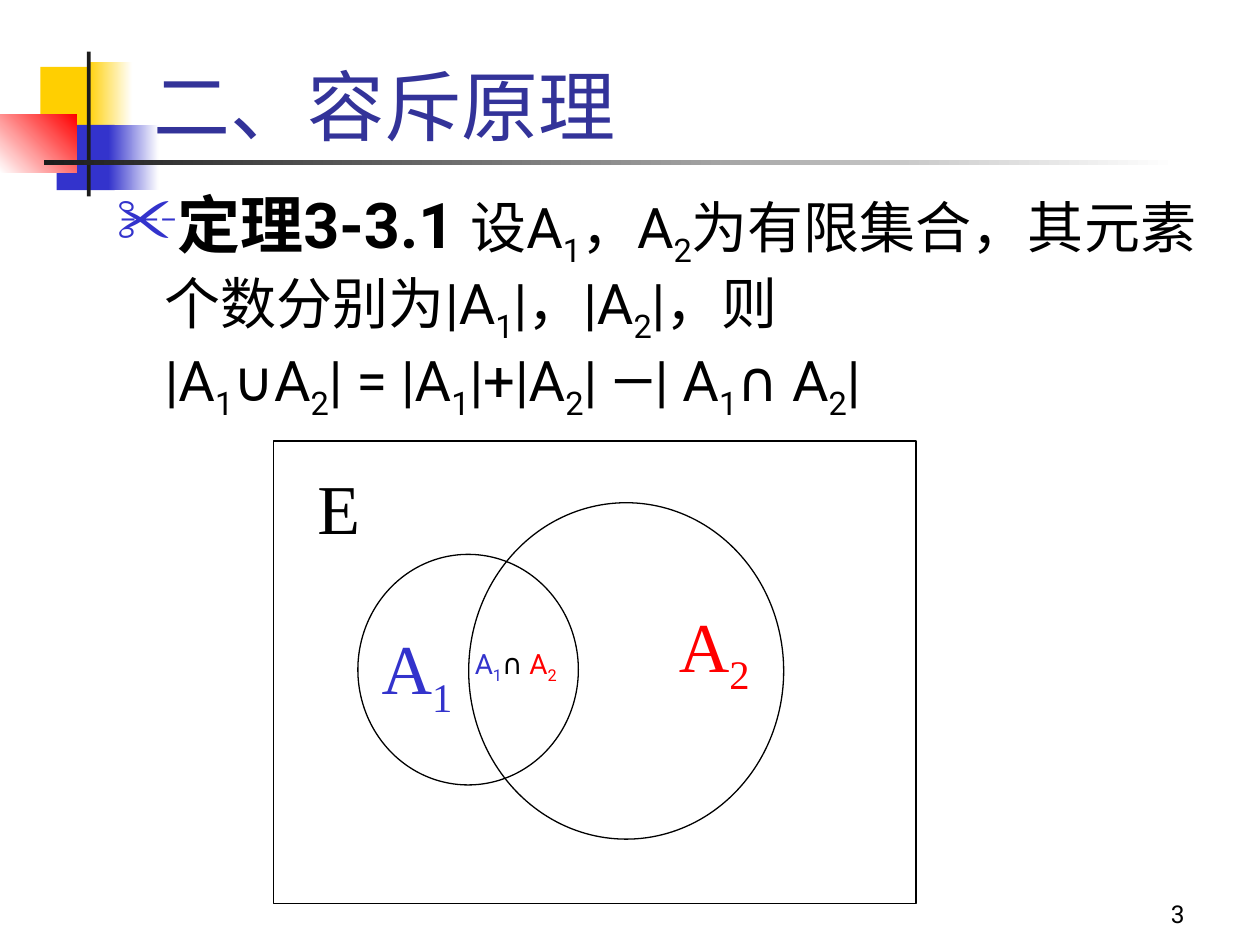
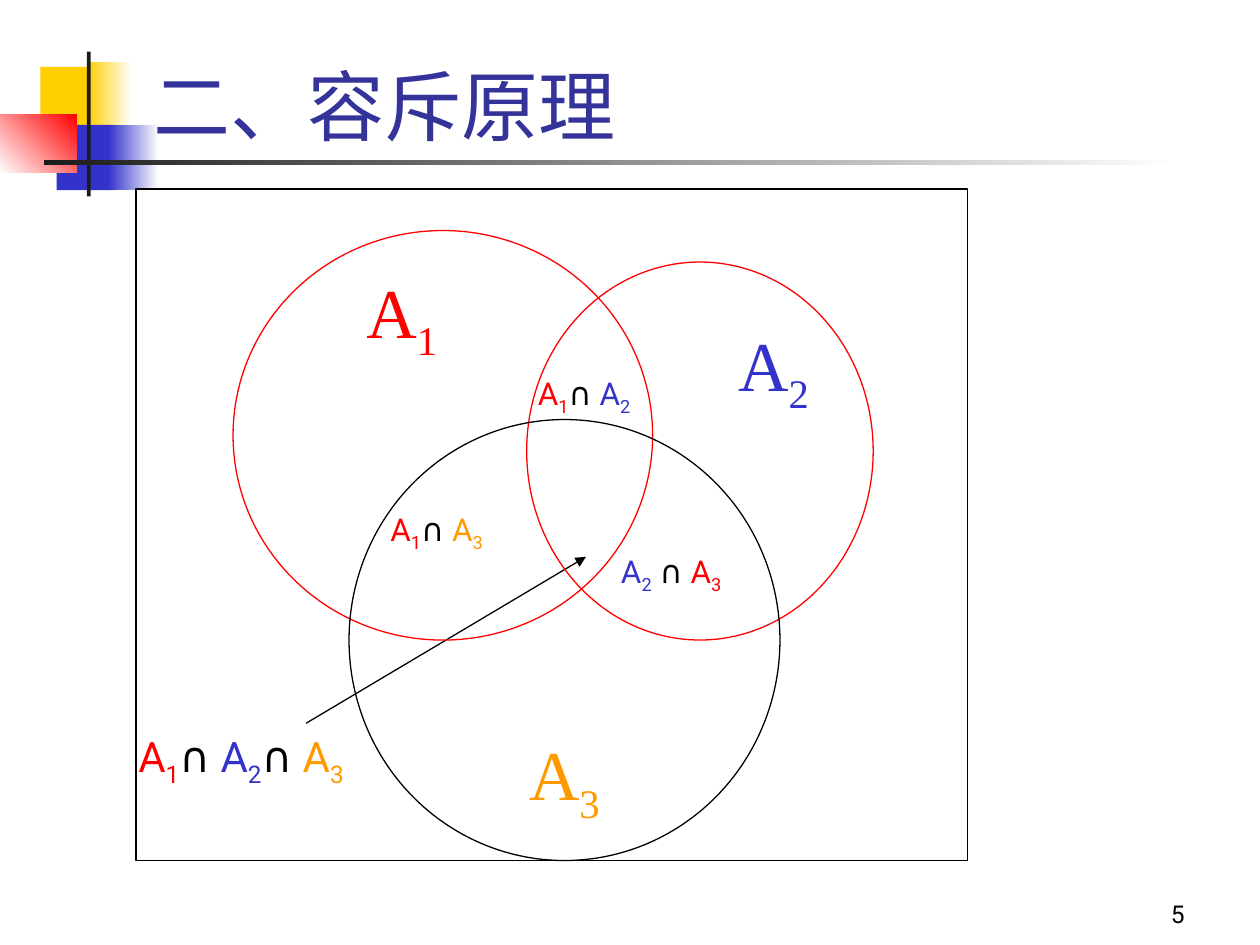
from dataclasses import dataclass

from lxml.etree import SubElement
from pptx import Presentation
from pptx.dml.color import RGBColor as RGB
from pptx.enum.shapes import MSO_CONNECTOR as Wire, MSO_SHAPE as Form
from pptx.enum.text import MSO_ANCHOR as Anchor, MSO_AUTO_SIZE as Fit, PP_ALIGN as Align
from pptx.oxml.ns import qn
from pptx.util import Inches, Pt


@dataclass(frozen=True)
class Theme:
    black: str = "000000"
    white: str = "FFFFFF"
    red: str = "FF0000"
    blue: str = "3333CC"
    orange: str = "FF9900"
    yellow: str = "FFCF01"
    dark: str = "1C1C1C"
    navy: str = "333399"
    sans: str = "Roboto"
    serif: str = "Times New Roman"
    title: int = 44
    name: int = 40
    lead: int = 36
    body: int = 32
    note: int = 24
    label: int = 18
    small: int = 16
    page: int = 14
    line: float = 0.75


T = Theme()
CAP = "∩ "


def inches(box):
    return [Inches(v) for v in box]


def write(par, words, size, tone=T.black, face=T.sans, bold=False):
    """Add words to a paragraph; the character after each _ is a subscript."""
    def add(part, low=False):
        if not part:
            return
        run = par.add_run()
        run.text = part
        font = run.font
        font.size, font.name, font.bold = Pt(size), face, bold
        font.color.rgb = RGB.from_string(tone)
        if low:
            run._r.get_or_add_rPr().set("baseline", "-25000")

    head, *rest = words.split("_")
    add(head)
    for part in rest:
        add(part[0], low=True)
        add(part[1:])


class Deck:
    def __init__(self):
        self.prs = Presentation()
        self.prs.slide_width, self.prs.slide_height = Inches(10), Inches(7.5)

    def page(self, title, number):
        self.slide = self.prs.slides.add_slide(self.prs.slide_layouts[5])
        self.shapes = self.slide.shapes
        self.decor()
        self.head(title)
        par = self.text((7.42, 6.92, 2.08, 0.5), anchor=Anchor.BOTTOM)
        par.alignment = Align.RIGHT
        write(par, number, T.page)

    def decor(self):
        self.block((0.32, 0.53, 0.48, 0.52), T.yellow)
        self.block((0.69, 0.49, 0.36, 0.52), T.yellow, T.white)
        self.block((0.45, 0.99, 0.46, 0.52), T.blue)
        self.block((0.86, 0.99, 0.4, 0.52), T.blue, T.white)
        self.block((0, 0.91, 0.61, 0.46), T.white, T.red, angle=45)
        self.block((0.69, 0.41, 0.03, 1.15), T.dark)
        self.block((0.35, 1.27, 9, 0.04), T.dark, T.white)

    def head(self, words):
        box = self.shapes.title
        box.left, box.top, box.width, box.height = inches((1.12, 0, 8.52, 1.25))
        frame = box.text_frame
        frame.auto_size, frame.vertical_anchor = Fit.NONE, Anchor.BOTTOM
        par = frame.paragraphs[0]
        par.alignment = Align.LEFT
        write(par, words, T.title, T.navy)
        self.shapes._spTree.append(box._element)  # bring above the bands

    def block(self, box, tone, fade=None, angle=0):
        """Borderless rectangle, fading to a second colour if one is given."""
        shape = self.shapes.add_shape(Form.RECTANGLE, *inches(box))
        shape.shadow.inherit = False
        shape.line.fill.background()
        if fade:
            shape.fill.gradient()
            shape.fill.gradient_angle = angle
            for stop, hue in zip(shape.fill.gradient_stops, (tone, fade)):
                stop.color.rgb = RGB.from_string(hue)
            for stop, at in zip(shape.fill.gradient_stops, (0, 1)):
                stop.position = at
        else:
            shape.fill.solid()
            shape.fill.fore_color.rgb = RGB.from_string(tone)

    def ring(self, box, tone=T.black, form=Form.OVAL):
        """Unfilled outline."""
        shape = self.shapes.add_shape(form, *inches(box))
        shape.shadow.inherit = False
        shape.fill.background()
        shape.line.color.rgb = RGB.from_string(tone)
        shape.line.width = Pt(T.line)

    def frame(self, box):
        self.ring(box, form=Form.RECTANGLE)

    def text(self, box, wrap=True, fit=Fit.NONE, anchor=Anchor.TOP):
        """Add a text box and return its first paragraph."""
        frame = self.shapes.add_textbox(*inches(box)).text_frame
        frame.word_wrap, frame.auto_size = wrap, fit
        frame.vertical_anchor = anchor
        return frame.paragraphs[0]

    def name(self, words, left, top, tone=T.black, width=0.76, height=0.86):
        par = self.text((left, top, width, height), False, Fit.SHAPE_TO_FIT_TEXT)
        write(par, words, T.name, tone, T.serif)

    def meet(self, box, *sets, size=T.label, sign=CAP):
        """Label an intersection of (name, colour) sets."""
        par = self.text(box, fit=Fit.SHAPE_TO_FIT_TEXT)
        for i, (words, tone) in enumerate(sets):
            if i:
                write(par, sign, size)
            write(par, words, size, tone)

    def bullet(self, par, sign, tone, indent):
        props = par._p.get_or_add_pPr()
        props.set("marL", str(Inches(indent)))
        props.set("indent", str(-Inches(indent)))
        hue = SubElement(props, qn("a:buClr"))
        SubElement(hue, qn("a:srgbClr"), val=tone)
        SubElement(props, qn("a:buChar"), char=sign)

    def arrow(self, start, end):
        wire = self.shapes.add_connector(Wire.STRAIGHT, *inches(start + end))
        wire.line.color.rgb = RGB.from_string(T.black)
        wire.line.width = Pt(T.line)
        SubElement(wire.line._get_or_add_ln(), qn("a:tailEnd"), type="triangle")
        SubElement(wire._element.spPr, qn("a:effectLst"))


def two_sets(deck):
    deck.page("二、容斥原理", "3")
    par = deck.text((0.83, 1.42, 9, 5.33))
    deck.bullet(par, "✂", T.blue, 0.38)
    write(par, "定理3-3.1 ", T.lead, bold=True)
    write(par, "设A_1，A_2为有限集合，其元素个数分别为|A_1|，|A_2|，则", T.body)
    par.add_line_break()
    write(par, "|A_1∪A_2| = |A_1|+|A_2| ―| A_1∩ A_2|", T.body)

    deck.name("A_2", 5.29, 4.73, T.red)
    deck.name("A_1", 2.93, 4.91, T.blue)
    deck.ring((2.84, 4.4, 1.75, 1.83))
    deck.ring((3.72, 3.99, 2.5, 2.67))
    deck.frame((2.17, 3.5, 5.1, 3.67))
    deck.name("E", 2.42, 3.64, width=0.54, height=0.77)
    deck.meet((3.67, 5.08, 1, 0.41), ("A_1", T.blue), ("A_2", T.red), size=T.small)


def three_sets(deck):
    deck.page("二、容斥原理", "5")
    deck.arrow((2.43, 5.74), (4.65, 4.42))
    deck.frame((1.08, 1.5, 6.6, 5.33))
    one, two, three = ("A_1", T.red), ("A_2", T.blue), ("A_3", T.orange)
    for (words, tone), ring, edge, spot in (
        (one, (1.85, 1.83, 3.33, 3.25), T.red, (2.81, 2.08)),
        (two, (4.18, 2.08, 2.75, 3), T.red, (5.76, 2.5)),
        (three, (2.77, 3.33, 3.42, 3.5), T.black, (4.1, 5.75)),
    ):
        deck.ring(ring, edge)
        deck.name(words, *spot, tone)
    size = (1.75, 0.44)
    deck.meet((4.17, 2.92, *size), one, two)
    deck.meet((3, 4, *size), one, three)
    deck.meet((4.83, 4.33, *size), two, ("A_3", T.red), sign=" " + CAP)
    deck.meet((1, 5.75, 2.67, 1.22), one, two, three, size=T.note)


def main():
    deck = Deck()
    two_sets(deck)
    three_sets(deck)
    deck.prs.save("out.pptx")


if __name__ == "__main__":
    main()
